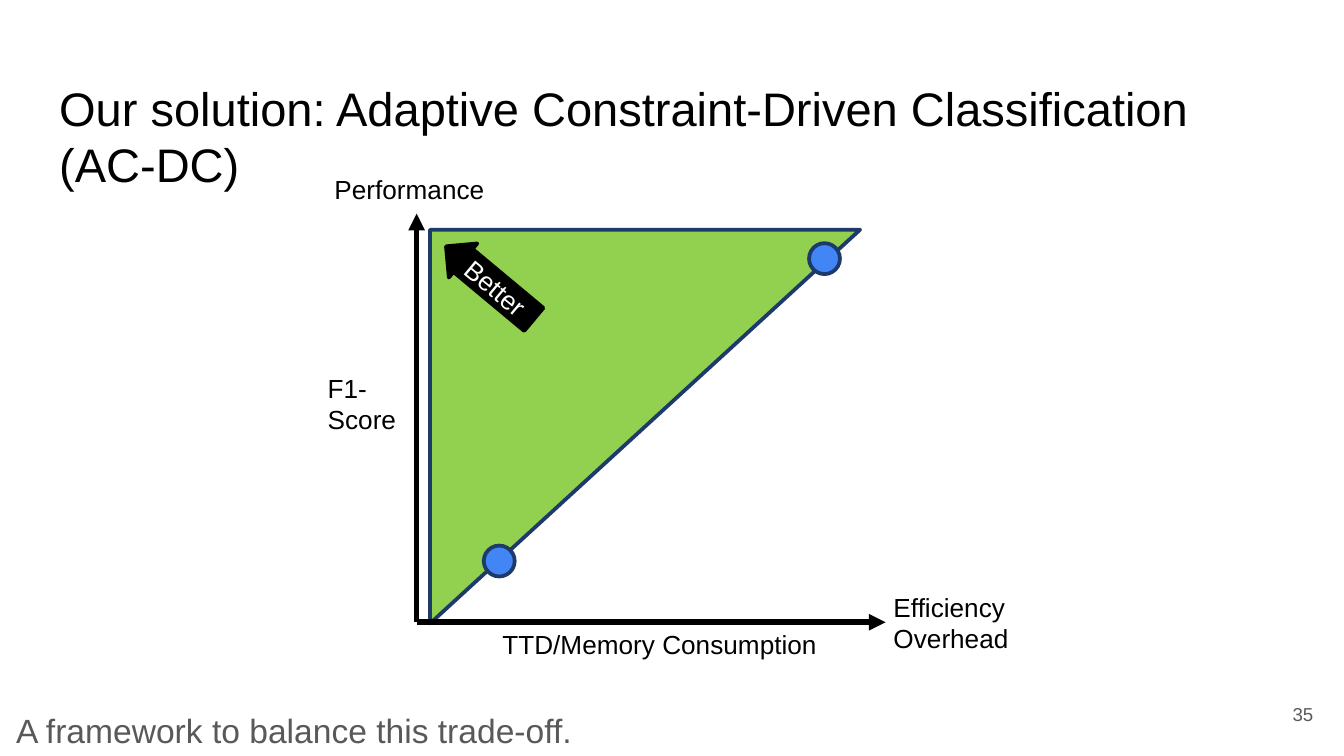
from pptx import Presentation
from pptx.dml.color import RGBColor
from pptx.enum.shapes import MSO_CONNECTOR, MSO_SHAPE
from pptx.enum.text import MSO_ANCHOR, MSO_AUTO_SIZE, PP_ALIGN
from pptx.oxml.ns import qn
from pptx.util import Inches, Pt
from lxml.etree import SubElement

BLACK = RGBColor(0x00, 0x00, 0x00)
WHITE = RGBColor(0xFF, 0xFF, 0xFF)
GRAY = RGBColor(0x59, 0x59, 0x59)
GREEN = RGBColor(0x92, 0xD0, 0x50)
BLUE = RGBColor(0x42, 0x85, 0xF4)
NAVY = RGBColor(0x1D, 0x3A, 0x6B)

TITLE = "Our solution: Adaptive Constraint-Driven Classification (AC-DC)"
TAKEAWAY = "A framework to balance this trade-off."
PAGE = "35"
ORIGIN = (3.1, 4.63)
AXIS_ENDS = [(3.1, 1.59), (6.59, 4.63)]
POINTS = [(3.6, 4.06), (6.02, 1.81)]
POINT_SIZE = 0.23
LABELS = [
    ("Performance", (2.39, 1.24, 1.32, 0.34), False),
    ("F1-Score", (2.34, 2.72, 0.76, 0.57), True),
    ("Efficiency Overhead", (6.55, 4.35, 1.76, 0.57), True),
    ("TTD/Memory Consumption", (3.64, 4.63, 2.76, 0.34), True),
]


def inches(values):
    return [Inches(v) for v in values]


def write(tf, text, size, color, align=PP_ALIGN.LEFT, anchor=MSO_ANCHOR.TOP, wrap=True):
    tf.auto_size = MSO_AUTO_SIZE.NONE
    tf.word_wrap = wrap
    tf.vertical_anchor = anchor
    p = tf.paragraphs[0]
    p.alignment = align
    r = p.add_run()
    r.text = text
    r.font.name = "Arial"
    r.font.size = Pt(size)
    r.font.color.rgb = color
    return p


def set_margins(tf):
    tf.margin_left = tf.margin_right = tf.margin_top = tf.margin_bottom = Inches(0.1)


def place(sp, box):
    sp.left, sp.top, sp.width, sp.height = inches(box)
    set_margins(sp.text_frame)
    return sp.text_frame


def add_shape(s, kind, box, fill, line):
    sp = s.shapes.add_shape(kind, *inches(box))
    sp.shadow.inherit = False
    sp.fill.solid()
    sp.fill.fore_color.rgb = fill
    sp.line.color.rgb = line
    sp.line.width = Pt(2)
    return sp


def add_axis(s, start, end):
    axis = s.shapes.add_connector(MSO_CONNECTOR.STRAIGHT, *inches(start + end))
    axis.line.color.rgb = BLACK
    axis.line.width = Pt(3)
    SubElement(axis.line._get_or_add_ln(), qn("a:tailEnd"), type="triangle")
    SubElement(axis._element.spPr, qn("a:effectLst"))


prs = Presentation()
prs.slide_width = Inches(10)
prs.slide_height = prs.slide_width * 9 // 16
s = prs.slides.add_slide(prs.slide_layouts[1])

region = add_shape(s, MSO_SHAPE.RIGHT_TRIANGLE, (3.2, 1.71, 3.2, 2.93), GREEN, NAVY)
region._element.spPr.find(qn("a:xfrm")).set("flipV", "1")

write(place(s.shapes.title, (0.34, 0.49, 9.32, 0.63)), TITLE, 25.2, BLACK)

tf = place(s.placeholders[1], (-0.11, 5.14, 5.53, 2.86))
pPr = tf.paragraphs[0]._p.get_or_add_pPr()
pPr.set("marL", str(Inches(0.13)))
pPr.set("indent", "0")
SubElement(pPr, qn("a:buNone"))
p = write(tf, TAKEAWAY, 18, GRAY)
p.line_spacing = 1.15
p.space_before = Pt(0)

page = s.shapes.add_textbox(*inches((9.27, 5.1, 0.6, 0.43)))
set_margins(page.text_frame)
write(page.text_frame, PAGE, 10, GRAY, PP_ALIGN.RIGHT, MSO_ANCHOR.MIDDLE)

for end in AXIS_ENDS:
    add_axis(s, ORIGIN, end)

for point in POINTS:
    add_shape(s, MSO_SHAPE.OVAL, point + (POINT_SIZE, POINT_SIZE), BLUE, NAVY)

for text, box, wrap in LABELS:
    label = s.shapes.add_textbox(*inches(box))
    write(label.text_frame, text, 14, BLACK, wrap=wrap)

better = add_shape(s, MSO_SHAPE.LEFT_ARROW, (3.22, 1.94, 0.85, 0.33), BLACK, BLACK)
better.rotation = 39.8
better.adjustments[0] = 0.674
better.adjustments[1] = 0.5
write(better.text_frame, "Better", 14, WHITE, PP_ALIGN.CENTER, MSO_ANCHOR.MIDDLE)

prs.save("out.pptx")
